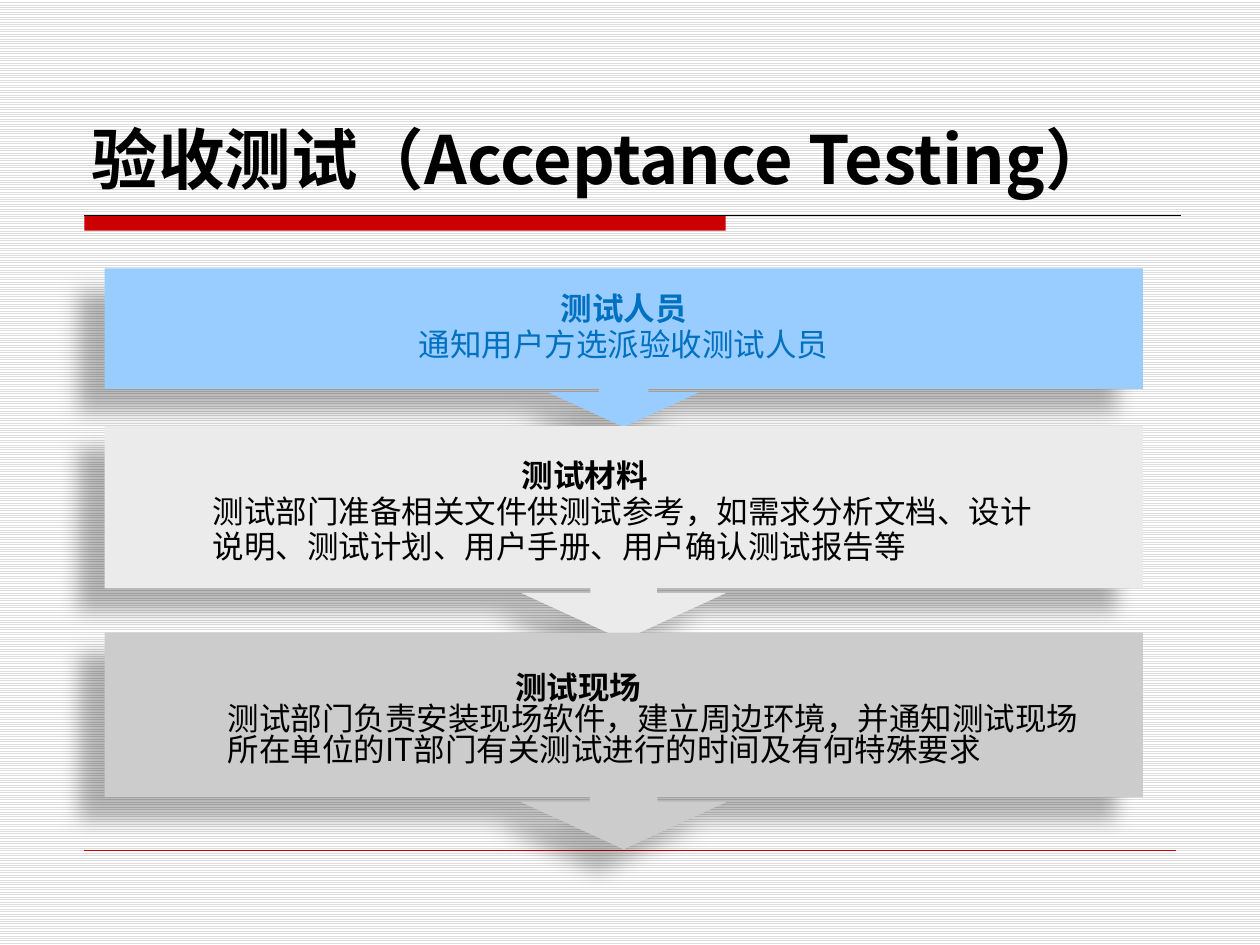
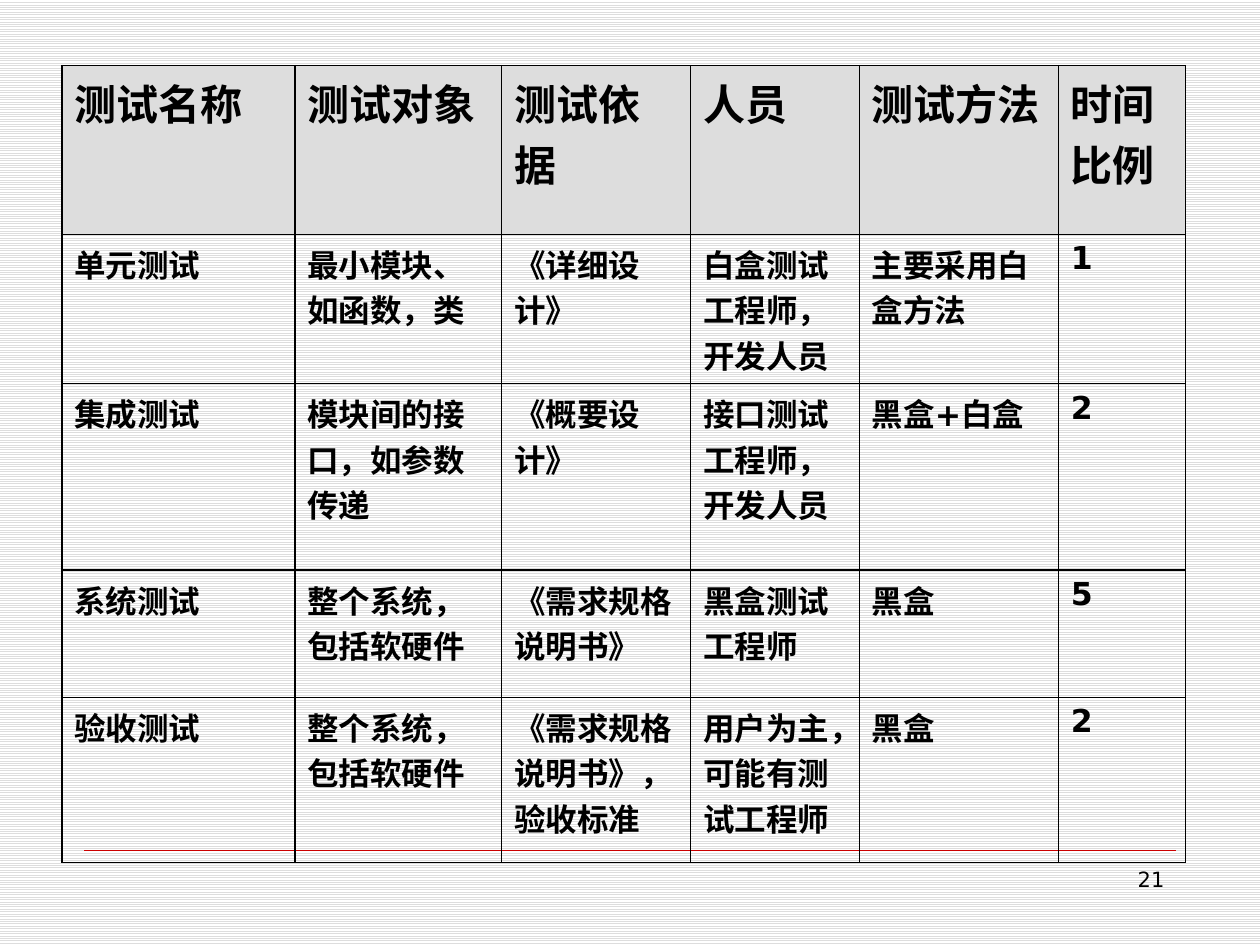
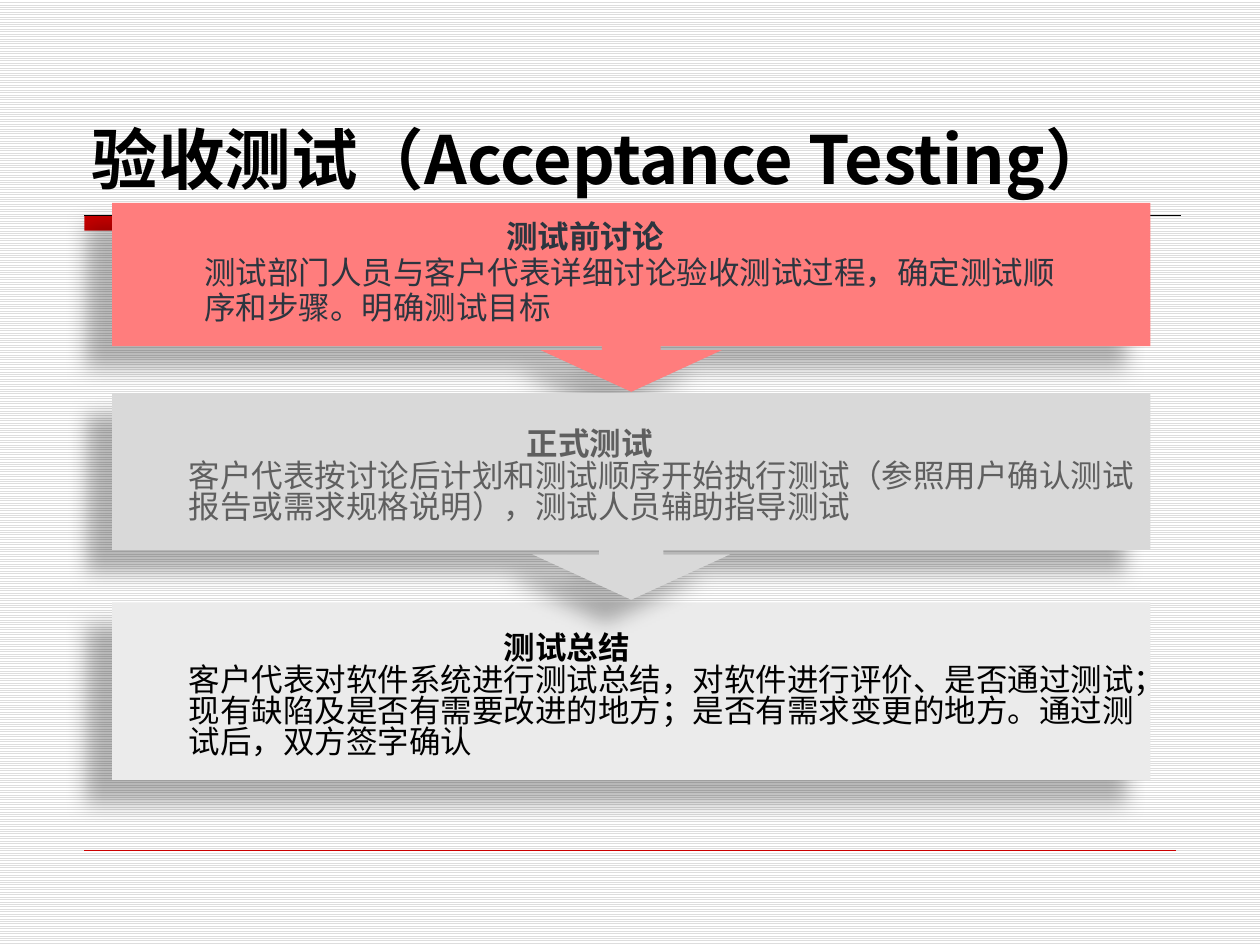
import pptx
import pptx.dml.color
import pptx.enum.dml
import pptx.enum.shapes
import pptx.enum.text
import pptx.oxml.ns
import pptx.util
from lxml import etree

Inches = pptx.util.Inches
Pt = pptx.util.Pt
qn = pptx.oxml.ns.qn
SHAPE = pptx.enum.shapes.MSO_SHAPE
ALIGN = pptx.enum.text.PP_ALIGN
ANCHOR = pptx.enum.text.MSO_ANCHOR

CJK_FONT = "Noto Sans CJK SC"
LATIN_FONT = "DejaVu Sans"
BLACK, RED, STRIPE = "000000", "CC0000", "DDDDDD"
TITLE = "验收测试（Acceptance Testing）"

CARD_WIDTH = 8.24
CARD_INSET = 0.05
LOWERED_INSET = 0.15
CALLOUT_ADJUSTMENTS = (0.311, 0.479, 0.22, 0.759)
LOOSE = {"line_spacing": 0.85, "space_before": Pt(2)}
TIGHT = {"line_spacing": 0.83, "space_before": Pt(0)}

PREPARATION_CARDS = [
    {"top": 2.13, "height": 1.26, "fill": "99CCFF", "color": "0070C0",
     "heading": "测试人员", "body": ["通知用户方选派验收测试人员"]},
    {"top": 3.38, "height": 1.7, "fill": "EBEBEB", "indents": (3.26, 0.81),
     "inset": LOWERED_INSET, "heading": "测试材料",
     "body": ["测试部门准备相关文件供测试参考，如需求分析文档、设计",
              "说明、测试计划、用户手册、用户确认测试报告等"]},
    {"top": 5.02, "height": 1.72, "fill": "CCCCCC", "indents": (3.21, 0.93),
     "inset": LOWERED_INSET, "spacing": TIGHT, "heading": "测试现场",
     "body": ["测试部门负责安装现场软件，建立周边环境，并通知测试现场",
              "所在单位的IT部门有关测试进行的时间及有何特殊要求"]},
]
EXECUTION_CARDS = [
    {"top": 1.61, "height": 1.5, "fill": "FF7D7D", "color": "2C353F",
     "indents": (3.08, 0.68), "heading": "测试前讨论",
     "body": ["测试部门人员与客户代表详细讨论验收测试过程，确定测试顺",
              "序和步骤。明确测试目标"]},
    {"top": 4.78, "height": 1.41, "fill": "EBEBEB", "indents": (3.06, 0.56),
     "kind": SHAPE.RECTANGLE, "inset": LOWERED_INSET, "spacing": TIGHT,
     "heading": "测试总结",
     "body": ["客户代表对软件系统进行测试总结，对软件进行评价、是否通过测试；"
              "现有缺陷及是否有需要改进的地方；是否有需求变更的地方。"
              "通过测试后，双方签字确认"]},
    {"top": 3.12, "height": 1.64, "fill": "D9D9D9", "color": "5F5F5F",
     "indents": (3.24, 0.56), "inset": LOWERED_INSET, "spacing": TIGHT,
     "heading": "正式测试",
     "body": ["客户代表按讨论后计划和测试顺序开始执行测试（参照用户确认测试"
              "报告或需求规格说明），测试人员辅助指导测试"]},
]

COLUMN_WIDTHS = (1.85, 1.64, 1.5, 1.34, 1.58, 1.01)
ROW_HEIGHTS = (1.34, 1.18, 1.48, 1.01, 1.31)
TEST_STAGES = [
    ("测试名称", "测试对象", "测试依据", "人员", "测试方法", "时间比例"),
    ("单元测试", "最小模块、如函数，类", "《详细设计》",
     "白盒测试工程师，开发人员", "主要采用白盒方法", "1"),
    ("集成测试", "模块间的接口，如参数传递", "《概要设计》",
     "接口测试工程师，开发人员", "黑盒+白盒", "2"),
    ("系统测试", "整个系统，包括软硬件", "《需求规格说明书》",
     "黑盒测试工程师", "黑盒", "5"),
    ("验收测试", "整个系统，包括软硬件", "《需求规格说明书》，验收标准",
     "用户为主，可能有测试工程师", "黑盒", "2"),
]


def rgb(value):
    return pptx.dml.color.RGBColor.from_string(value)


def set_attributes(target, values):
    for name, value in values.items():
        setattr(target, name, value)


def write(para, text, size, color=BLACK, bold=False, font=CJK_FONT):
    span = para.add_run()
    span.text = text
    set_attributes(span.font, {"size": Pt(size), "bold": bold, "name": font})
    span.font.color.rgb = rgb(color)
    east_asian = etree.SubElement(span.font._element, qn("a:ea"))
    east_asian.set("typeface", CJK_FONT)


def add_text(page, box, text, size, align=ALIGN.LEFT, anchor=ANCHOR.TOP, **style):
    frame = page.shapes.add_textbox(*map(Inches, box)).text_frame
    set_attributes(frame, {"word_wrap": True, "vertical_anchor": anchor})
    frame.paragraphs[0].alignment = align
    write(frame.paragraphs[0], text, size, **style)


def add_block(page, kind, box, fill):
    block = page.shapes.add_shape(kind, *map(Inches, box))
    block.fill.solid()
    block.fill.fore_color.rgb = rgb(fill)
    block.line.fill.background()
    block.shadow.inherit = False
    return block


def add_rule(page, left, right, top, color, width):
    rule = page.shapes.add_connector(
        pptx.enum.shapes.MSO_CONNECTOR.STRAIGHT,
        *map(Inches, (left, top, right, top)))
    rule.line.color.rgb = rgb(color)
    rule.line.width = Pt(width)
    etree.SubElement(rule._element.spPr, qn("a:effectLst"))


def add_page(deck):
    """Add a blank page with the striped background and the footer rule."""
    page = deck.slides.add_slide(deck.slide_layouts[6])
    fill = page.background.fill
    fill.patterned()
    fill.pattern = pptx.enum.dml.MSO_PATTERN.LIGHT_HORIZONTAL
    fill.fore_color.rgb = rgb(STRIPE)
    fill.back_color.rgb = rgb("FFFFFF")
    add_rule(page, 0.67, 9.33, 6.75, RED, 0.25)
    return page


def add_title(page, text):
    add_block(page, SHAPE.RECTANGLE, (0.67, 1.71, 5.09, 0.12), RED)
    add_rule(page, 0.67, 9.37, 1.71, BLACK, 0.5)
    add_text(page, (0.63, 0.76, 9.17, 0.86), text, 38,
             anchor=ANCHOR.BOTTOM, bold=True)


def cast_shadow(block):
    effects = block._element.spPr.find(qn("a:effectLst"))
    shadow = etree.SubElement(effects, qn("a:outerShdw"), {
        "blurRad": str(Pt(11.8)), "dist": str(Pt(19.7)),
        "dir": str(141 * 60000), "algn": "ctr", "rotWithShape": "0"})
    color = etree.SubElement(shadow, qn("a:srgbClr"), val=BLACK)
    etree.SubElement(color, qn("a:alpha"), val="28000")


def add_card(page, left, top, height, fill, heading, body, color=BLACK,
             indents=None, inset=CARD_INSET, spacing=LOOSE,
             kind=SHAPE.DOWN_ARROW_CALLOUT):
    """Add a step; indents are for heading and body, none means centred."""
    card = add_block(page, kind, (left, top, CARD_WIDTH, height), fill)
    if kind == SHAPE.DOWN_ARROW_CALLOUT:
        for index, value in enumerate(CALLOUT_ADJUSTMENTS):
            card.adjustments[index] = value
    cast_shadow(card)
    frame = card.text_frame
    side = Inches(CARD_INSET)
    set_attributes(frame, {
        "word_wrap": True, "vertical_anchor": ANCHOR.MIDDLE,
        "margin_left": side, "margin_right": side,
        "margin_top": Inches(inset), "margin_bottom": side})
    for index, text in enumerate([heading, *body]):
        para = frame.add_paragraph() if index else frame.paragraphs[0]
        para.alignment = ALIGN.LEFT if indents else ALIGN.CENTER
        set_attributes(para, spacing)
        if index == 0:
            para.space_before = Pt(0)
        if indents:
            indent = indents[min(index, 1)]
            para._p.get_or_add_pPr().set("marL", str(Inches(indent)))
        write(para, text, 18, color, bold=index == 0)


def add_steps_page(deck, left, cards):
    page = add_page(deck)
    add_title(page, TITLE)
    for card in cards:
        add_card(page, left, **card)


def add_borders(cell):
    properties = cell._tc.get_or_add_tcPr()
    for index, side in enumerate(("a:lnL", "a:lnR", "a:lnT", "a:lnB")):
        border = etree.Element(qn(side), w=str(Pt(1)))
        solid = etree.SubElement(border, qn("a:solidFill"))
        etree.SubElement(solid, qn("a:srgbClr"), val=BLACK)
        properties.insert(index, border)


def add_stage_table(page, left, top):
    table = page.shapes.add_table(
        len(ROW_HEIGHTS), len(COLUMN_WIDTHS), Inches(left), Inches(top),
        Inches(sum(COLUMN_WIDTHS)), Inches(sum(ROW_HEIGHTS))).table
    set_attributes(table, {"first_row": False, "horz_banding": False})
    for column, width in zip(table.columns, COLUMN_WIDTHS):
        column.width = Inches(width)
    for index, (row, height) in enumerate(zip(table.rows, ROW_HEIGHTS)):
        row.height = Inches(height)
        for cell, text in zip(row.cells, TEST_STAGES[index]):
            if index == 0:
                cell.fill.solid()
                cell.fill.fore_color.rgb = rgb(STRIPE)
            else:
                cell.fill.background()
            add_borders(cell)
            write(cell.text_frame.paragraphs[0], text, 18 if index else 24,
                  bold=True, font=LATIN_FONT)


def add_table_page(deck, number):
    page = add_page(deck)
    add_stage_table(page, 0.49, 0.52)
    add_text(page, (7.17, 6.83, 2.17, 0.52), number, 12,
             align=ALIGN.RIGHT, font=LATIN_FONT)


def main():
    deck = pptx.Presentation()
    deck.slide_width, deck.slide_height = Inches(10), Inches(7.5)
    add_steps_page(deck, 0.83, PREPARATION_CARDS)
    add_table_page(deck, "21")
    add_steps_page(deck, 0.89, EXECUTION_CARDS)
    deck.save("out.pptx")


if __name__ == "__main__":
    main()
